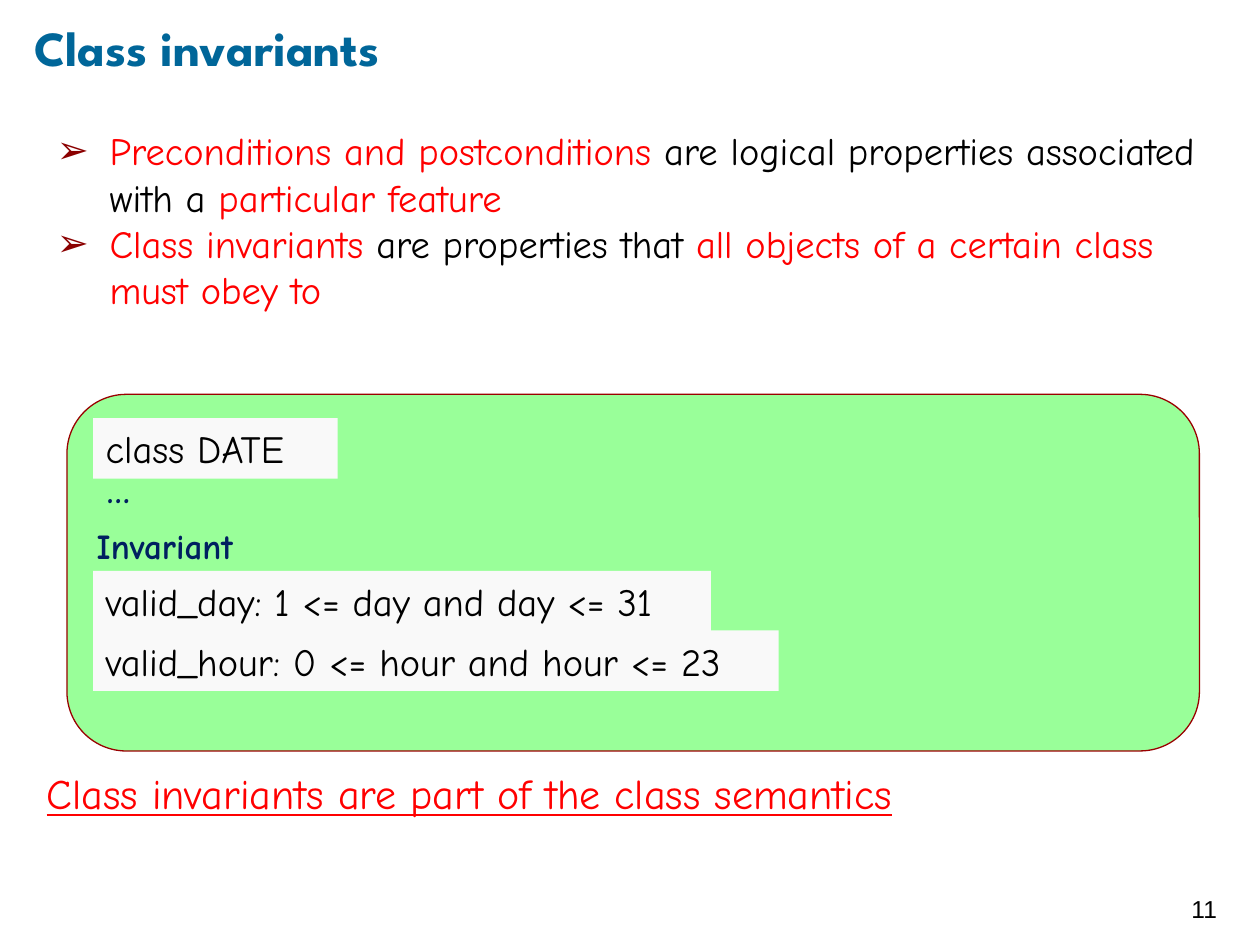
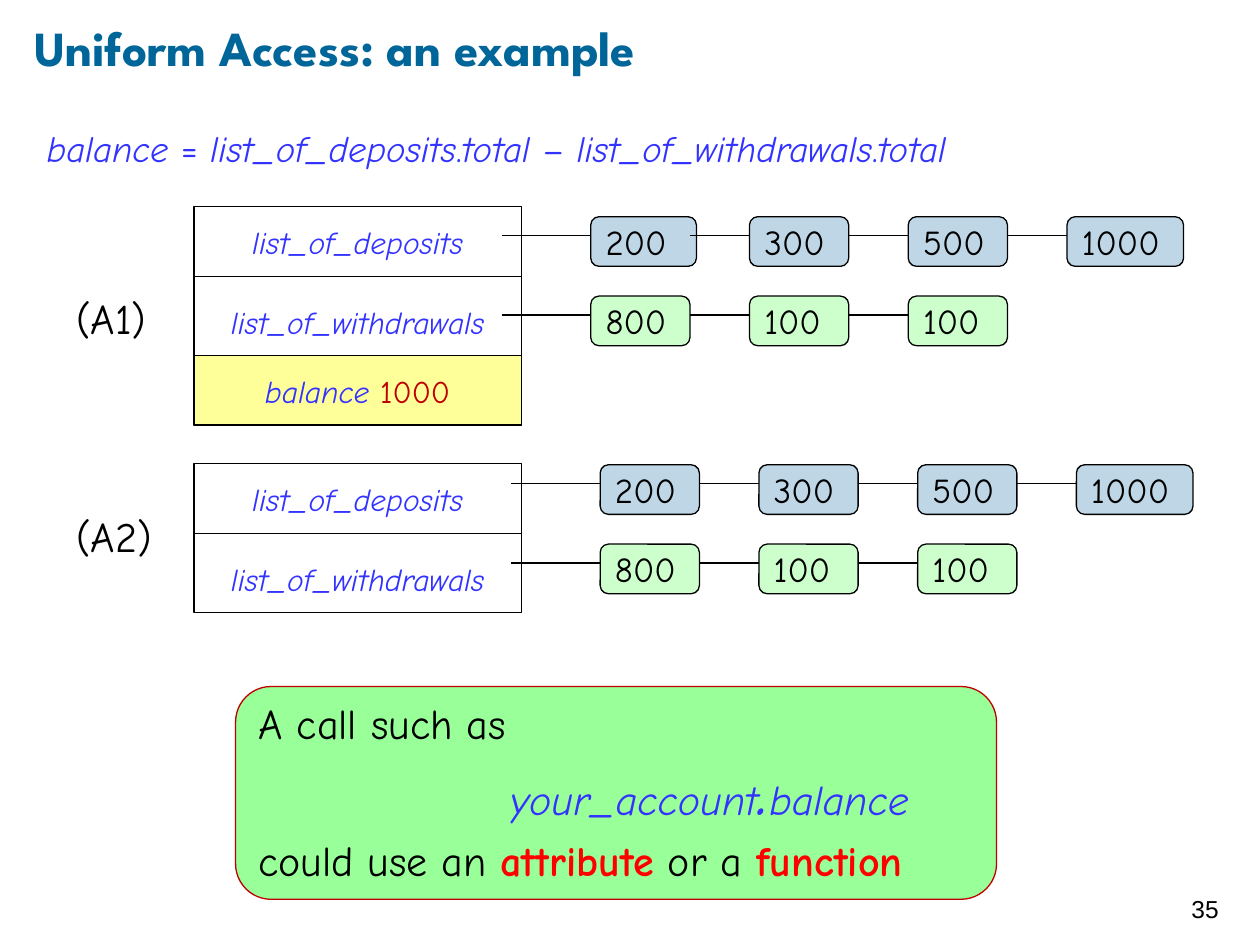
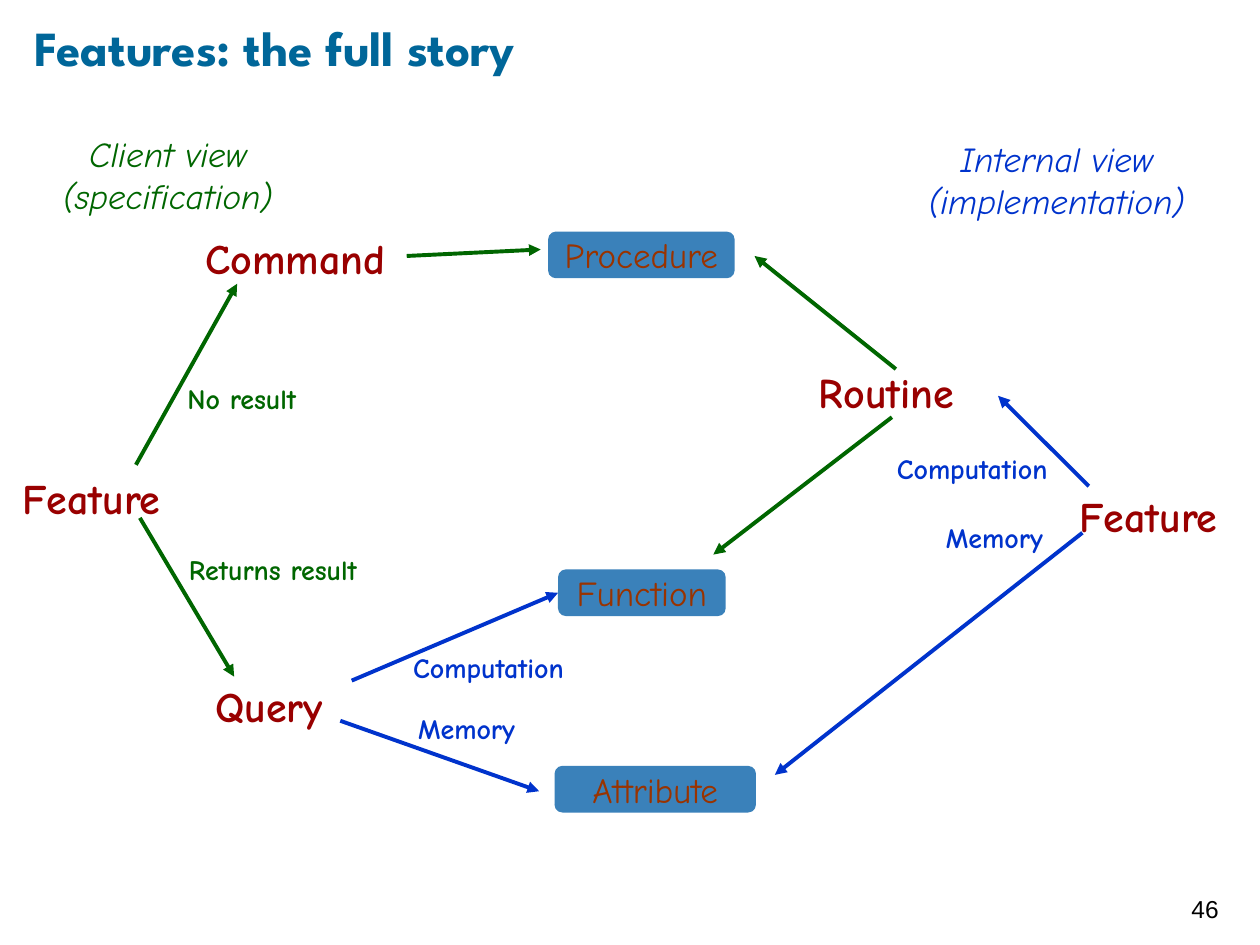
from lxml import etree
from pptx import Presentation
from pptx.dml.color import RGBColor
from pptx.enum.shapes import MSO_CONNECTOR, MSO_SHAPE
from pptx.enum.text import MSO_ANCHOR, MSO_AUTO_SIZE, PP_ALIGN
from pptx.oxml.ns import qn
from pptx.util import Cm, Pt

RECT = MSO_SHAPE.RECTANGLE
ROUNDED = MSO_SHAPE.ROUNDED_RECTANGLE
STRAIGHT = MSO_CONNECTOR.STRAIGHT
TOP, MIDDLE = MSO_ANCHOR.TOP, MSO_ANCHOR.MIDDLE
LEFT, CENTER = PP_ALIGN.LEFT, PP_ALIGN.CENTER
FIXED = MSO_AUTO_SIZE.NONE
TITLE_ONLY = 5
LEFT_SIDE = 1

BODY_FONT, TITLE_FONT, NUMBER_FONT = "Comic Neue", "League Spartan", "Arial"
INSETS = (0.25, 0.13, 0.25, 0.13)
COLORS = {
    "title": "006699", "text": "000000", "red": "FF0000", "bullet": "8B0000",
    "panel": "99FF99", "panel_edge": "990000", "code": "F9F9F9",
    "keyword": "002060", "feature": "3333FF", "value": "C00000",
    "balance": "FFFF99", "deposit": "BED6E6", "withdrawal": "CCFFCC",
    "concept": "990000", "block": "3A81BA", "block_text": "993300",
    "client": "006600", "internal": "0033CC",
}


def rgb(name):
    return RGBColor.from_string(COLORS[name])


def add_bullet(paragraph, mark, color):
    props = paragraph._p.get_or_add_pPr()
    props.set("marL", str(Cm(1.27)))
    props.set("indent", str(-Cm(1.07)))
    tint = etree.SubElement(props, qn("a:buClr"))
    etree.SubElement(tint, qn("a:srgbClr"), val=COLORS[color])
    etree.SubElement(props, qn("a:buFont"), typeface=NUMBER_FONT)
    etree.SubElement(props, qn("a:buChar"), char=mark)


def write(frame, paragraphs, align=LEFT, anchor=TOP, insets=INSETS, bullet=None,
          indents=(), spaces=(), line_spacing=None, **style):
    frame.word_wrap = True
    frame.auto_size = FIXED
    frame.vertical_anchor = anchor
    (frame.margin_left, frame.margin_top,
     frame.margin_right, frame.margin_bottom) = map(Cm, insets)
    for index, runs in enumerate(paragraphs):
        paragraph = frame.add_paragraph() if index else frame.paragraphs[0]
        if bullet:
            add_bullet(paragraph, bullet, "bullet")
        if index < len(indents):
            paragraph._p.get_or_add_pPr().set("marL", str(Cm(indents[index])))
        if index < len(spaces):
            paragraph.space_before = Pt(spaces[index])
        if line_spacing:
            paragraph.line_spacing = line_spacing
        paragraph.alignment = align
        for words, changes in [(runs, {})] if isinstance(runs, str) else runs:
            look = {"size": 24, "color": "text", "font": BODY_FONT, **style, **changes}
            run = paragraph.add_run()
            run.text = words
            run.font.name = look["font"]
            run.font.size = Pt(look["size"])
            run.font.color.rgb = rgb(look["color"])
            run.font.bold = look.get("bold", False)
            run.font.italic = look.get("italic", False)
            run.font.underline = look.get("underline", False)


def add_words(slide, box, paragraphs, **style):
    holder = slide.shapes.add_textbox(*map(Cm, box))
    write(holder.text_frame, paragraphs, **style)


def add_box(slide, kind, box, fill=None, edge=None, paragraphs=(), **style):
    shape = slide.shapes.add_shape(kind, *map(Cm, box))
    shape.shadow.inherit = False
    if fill:
        shape.fill.solid()
        shape.fill.fore_color.rgb = rgb(fill)
    else:
        shape.fill.background()
    if edge:
        shape.line.color.rgb = rgb(edge)
        shape.line.width = Pt(0.75)
    else:
        shape.line.fill.background()
    write(shape.text_frame, paragraphs, **style)
    return shape


def add_line(slide, start, end, color="text", width=0.75, arrow=False):
    line = slide.shapes.add_connector(STRAIGHT, *map(Cm, (*start, *end)))
    line.line.color.rgb = rgb(color)
    line.line.width = Pt(width)
    if arrow:
        etree.SubElement(line.line._get_or_add_ln(), qn("a:tailEnd"), type="triangle")
    etree.SubElement(line._element.spPr, qn("a:effectLst"))
    return line


def start_slide(deck, title, number):
    slide = deck.slides.add_slide(deck.slide_layouts[TITLE_ONLY])
    heading = slide.shapes.title
    heading.left, heading.top, heading.width, heading.height = map(Cm, (0.69, 0.33, 22, 1.22))
    write(heading.text_frame, [title], anchor=MIDDLE, insets=(0, 0, 0, 0),
          size=28, font=TITLE_FONT, color="title", bold=True)
    add_words(slide, (23.77, 17.6, 1.52, 1.45), [number], anchor=MIDDLE,
              insets=(0.25, 0.25, 0.25, 0.25), size=14, font=NUMBER_FONT)
    return slide


def class_panel(slide, left, top):
    add_box(slide, ROUNDED, (left, top, 22.83, 7.19), "panel", "panel_edge",
            ["…", "Invariant"], insets=(0.25, 1.25, 0.25, 0.13), indents=(0.2, 0),
            spaces=(0, 10), line_spacing=0.9, size=20, color="keyword", bold=True)
    for code, offset, width in (
        ("class DATE", 0.48, 4.93),
        ("valid_day: 1 <= day and day <= 31", 3.56, 12.45),
        ("valid_hour: 0 <= hour and hour <= 23", 4.76, 13.82),
    ):
        add_box(slide, RECT, (left + 0.53, top + offset, width, 1.22), "code",
                paragraphs=[code], anchor=MIDDLE, size=22)


def class_invariants(deck):
    slide = start_slide(deck, "Class invariants", "11")
    red = {"color": "red"}
    add_words(slide, (0.69, 2.44, 23.88, 4.2), [
        [("Preconditions and postconditions ", red),
         ("are logical properties associated with a ", {}),
         ("particular feature", red)],
        [("Class invariants ", red), ("are properties that ", {}),
         ("all objects of a certain class must obey to", red)],
    ], bullet="➢", size=22)
    class_panel(slide, 1.35, 7.95)
    add_words(slide, (0.69, 15.34, 23.88, 1.3),
              ["Class invariants are part of the class semantics"],
              color="red", underline=True)


def account_record(slide, left, top, label, label_offset, fields):
    width = 6.6
    heights = [height for _, height, _ in fields]
    add_words(slide, (left - 2.62, top + label_offset, 2.6, 1.27), [label])
    add_box(slide, RECT, (left, top, width, sum(heights)), edge="text")
    row_top = top
    for runs, height, fill in fields:
        if fill:
            add_box(slide, RECT, (left, row_top, width, height), fill, "text")
        elif row_top > top:
            add_line(slide, (left, row_top), (left + width, row_top))
        add_words(slide, (left, row_top + height - 1.2, width, 1), [runs],
                  align=CENTER, size=18, color="feature", italic=True)
        row_top += height


def linked_list(slide, left, top, fill, amounts, first_width=2):
    pitch, line_top = 3.2, top + 0.38
    tail = left - 1.8
    for index, amount in enumerate(amounts):
        node_left = left + index * pitch
        width = 2.35 if len(amount) > 3 else 2 if index else first_width
        add_box(slide, ROUNDED, (node_left, top, width, 1), fill, "text",
                [amount], anchor=MIDDLE, size=20)
        add_line(slide, (tail, line_top), (node_left, line_top))
        tail = node_left + 2


def movements(slide, left, top, first_width=2):
    linked_list(slide, left, top, "deposit", ["200", "300", "500", "1000"], first_width)
    linked_list(slide, left, top + 1.6, "withdrawal", ["800", "100", "100"])


def call_panel(slide, left, top):
    feature = {"color": "feature", "italic": True}
    strong = {"color": "red", "bold": True}
    add_box(slide, ROUNDED, (left, top, 15.34, 4.29), "panel", "value", [
        "A call such as",
        [("your_account", feature), (".", {**feature, "size": 44}), ("balance", feature)],
        [("could use an ", {}), ("attribute", strong), (" or a ", {}), ("function", strong)],
    ], indents=(0, 5.08, 0), spaces=(0, 0, 4.8), line_spacing=0.9)


def uniform_access(deck):
    slide = start_slide(deck, "Uniform Access: an example", "35")
    upright = {"italic": False}
    add_words(slide, (0.69, 2.41, 23.88, 1.3), [[
        ("balance", {}), (" = ", upright), ("list_of_deposits", {}), (".", upright),
        ("total", {}), (" – ", upright), ("list_of_withdrawals", {}), (".", upright),
        ("total", {}),
    ]], size=21, color="feature", italic=True)
    lists = [("list_of_deposits", 1.4, None), ("list_of_withdrawals", 1.6, None)]
    balance = [("balance ", {}), ("1000", {"color": "value", "italic": False})]
    account_record(slide, 3.91, 4.17, "(A1)", 1.6, lists + [(balance, 1.4, "balance")])
    account_record(slide, 3.91, 9.35, "(A2)", 0.81, lists)
    movements(slide, 11.91, 4.37, first_width=2.13)
    movements(slide, 12.1, 9.37)
    call_panel(slide, 4.75, 13.84)


def feature_map(slide, left, top):
    def place(x, y):
        return left + x, top + y

    for lines, x, y, width, color in (
        (["Client view", "(specification)"], 0.86, 0.17, 5.05, "client"),
        (["Internal view", "(implementation)"], 18.34, 0.27, 5.92, "internal"),
    ):
        add_words(slide, (*place(x, y), width, 1.7), lines, align=CENTER,
                  insets=(0, 0, 0, 0), size=20, color=color, italic=True)

    blocks = {}
    for name, x, y, width in (
        ("Procedure", 11.05, 2.17, 3.76),
        ("Function", 11.25, 8.98, 3.38),
        ("Attribute", 11.18, 12.94, 4.06),
    ):
        blocks[name] = add_box(slide, ROUNDED, (*place(x, y), width, 0.94), "block",
                               paragraphs=[name], align=CENTER, insets=(0, 0, 0, 0),
                               size=20, color="block_text")

    for color, start, end, target in (
        ("client", (2.74, 6.87), (4.78, 3.22), None),
        ("client", (2.82, 7.94), (4.72, 11.14), None),
        ("client", (8.2, 2.66), (10.9, 2.53), None),
        ("client", (18.06, 4.94), (15.21, 2.66), None),
        ("client", (17.98, 5.91), (14.38, 8.68), None),
        ("internal", (7.09, 11.22), (11.25, 9.45), "Function"),
        ("internal", (6.86, 12.03), (10.87, 13.45), None),
        ("internal", (21.82, 8.24), (15.62, 13.12), None),
        ("internal", (21.95, 7.3), (20.12, 5.48), None),
    ):
        arrow = add_line(slide, place(*start), place(*end), color, 2.25, arrow=True)
        if target:
            arrow.end_connect(blocks[target], LEFT_SIDE)

    for concept, x, y, width in (
        ("Feature", 0.2, 6.9, 3.81),
        ("Command", 3.89, 2.05, 5),
        ("Query", 4.09, 11.09, 3.81),
        ("Routine", 16.26, 4.76, 4.06),
        ("Feature", 21.51, 7.25, 3.89),
    ):
        add_words(slide, (*place(x, y), width, 1.27), [concept], color="concept", bold=True)

    for label, x, y, width, color in (
        ("No result", 3.53, 5.07, 3.48, "client"),
        ("Returns result", 3.56, 8.5, 4.67, "client"),
        ("Computation", 8.08, 10.48, 3.78, "internal"),
        ("Memory", 8.18, 11.72, 2.97, "internal"),
        ("Computation", 17.83, 6.47, 3.78, "internal"),
        ("Memory", 18.82, 7.86, 2.97, "internal"),
    ):
        add_words(slide, (*place(x, y), width, 0.94), [label], size=16, color=color, bold=True)


def full_story(deck):
    slide = start_slide(deck, "Features: the full story", "46")
    feature_map(slide, 0, 2.5)


def main():
    deck = Presentation()
    deck.slide_width, deck.slide_height = Cm(25.4), Cm(19.05)
    class_invariants(deck)
    uniform_access(deck)
    full_story(deck)
    deck.save("out.pptx")


if __name__ == "__main__":
    main()
